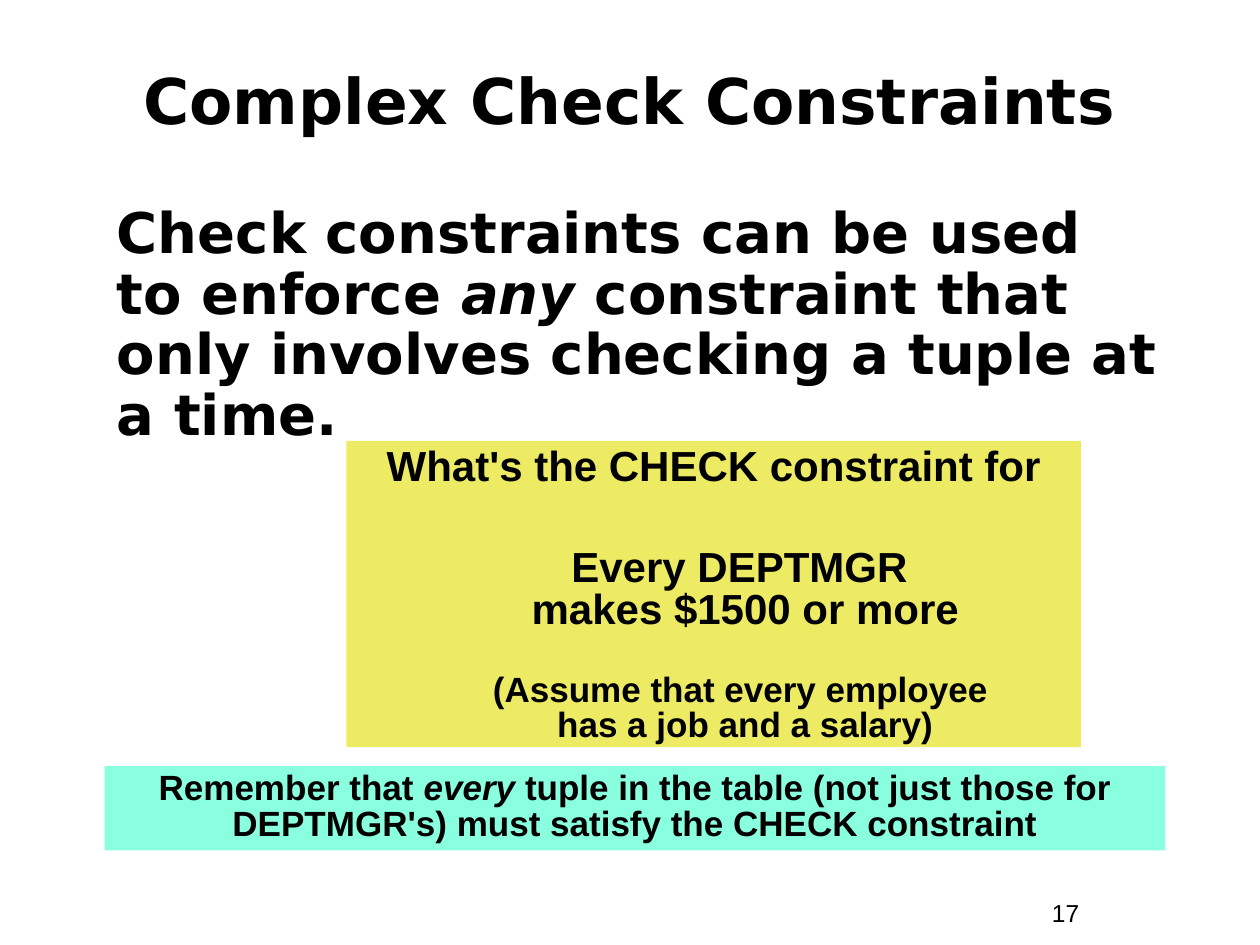
import pptx
import pptx.util
import pptx.dml.color
import pptx.enum.shapes
import pptx.enum.text

Inches = pptx.util.Inches
Pt = pptx.util.Pt
RGBColor = pptx.dml.color.RGBColor
Align = pptx.enum.text.PP_ALIGN
Anchor = pptx.enum.text.MSO_ANCHOR

BLACK = RGBColor(0x00, 0x00, 0x00)
YELLOW = RGBColor(0xED, 0xEA, 0x63)
AQUA = RGBColor(0x89, 0xFF, 0xE0)
HEADING_FONT = "DejaVu Sans"
TEXT_FONT = "Arial"


def add_text_box(page, box):
    frame = page.shapes.add_textbox(*map(Inches, box)).text_frame
    frame.word_wrap = True
    return frame


def add_panel(page, box, color):
    panel = page.shapes.add_shape(
        pptx.enum.shapes.MSO_SHAPE.RECTANGLE, *map(Inches, box))
    panel.shadow.inherit = False
    panel.fill.solid()
    panel.fill.fore_color.rgb = color
    panel.line.fill.background()
    frame = panel.text_frame
    frame.word_wrap = True
    frame.vertical_anchor = Anchor.TOP
    return frame


def write(para, pieces, font, size, align=Align.LEFT, bold=True, spacing=1.0):
    para.alignment = align
    para.line_spacing = spacing
    para.font.name = font
    para.font.size = Pt(size)
    para.font.bold = bold
    para.font.color.rgb = BLACK
    for text, italic in pieces:
        for index, line in enumerate(text.split("\n")):
            if index:
                para.add_line_break()
            span = para.add_run()
            span.text = line
            if italic:
                span.font.italic = True


def add_title(page, box):
    frame = add_text_box(page, box)
    frame.vertical_anchor = Anchor.MIDDLE
    write(frame.paragraphs[0], [("Complex Check Constraints", False)],
          HEADING_FONT, 36, Align.CENTER)


def add_body(page, box):
    frame = add_text_box(page, box)
    write(frame.paragraphs[0], [
        ("Check constraints can be used to enforce ", False),
        ("any", True),
        (" constraint that only involves checking a tuple at a time.", False),
    ], HEADING_FONT, 32, spacing=0.9)


def add_question(page, box):
    frame = add_panel(page, box, YELLOW)
    lines = [
        ("What's the CHECK constraint for", 24, 0, 0),
        ("Every DEPTMGR \nmakes $1500 or more", 24, 33, 0.5),
        ("(Assume that every employee \nhas a job and a salary)", 20, 23, 0.5),
    ]
    for index, (text, size, gap, indent) in enumerate(lines):
        para = frame.add_paragraph() if index else frame.paragraphs[0]
        if index:
            para.space_before = Pt(gap)
            para.level = 1
            para._p.get_or_add_pPr().set("marL", str(Inches(indent)))
        write(para, [(text, False)], TEXT_FONT, size, Align.CENTER, spacing=0.85)


def add_reminder(page, box):
    frame = add_panel(page, box, AQUA)
    write(frame.paragraphs[0], [
        ("Remember that ", False),
        ("every", True),
        (" tuple in the table (not just those for DEPTMGR's) "
         "must satisfy the CHECK constraint", False),
    ], TEXT_FONT, 20, Align.CENTER, spacing=0.85)


def add_page_number(page, box):
    frame = add_text_box(page, box)
    write(frame.paragraphs[0], [("17", False)], TEXT_FONT, 14, bold=False)


def main():
    deck = pptx.Presentation()
    deck.slide_width = Inches(10)
    deck.slide_height = Inches(7.5)
    page = deck.slides.add_slide(deck.slide_layouts[6])
    add_page_number(page, (8.25, 7.08, 0.92, 0.34))
    add_title(page, (0.33, 0.33, 9.33, 0.92))
    add_body(page, (0.83, 1.58, 8.5, 2.25))
    add_question(page, (2.75, 3.5, 5.83, 2.43))
    add_reminder(page, (0.83, 6.08, 8.42, 0.67))
    deck.save("out.pptx")


if __name__ == "__main__":
    main()
